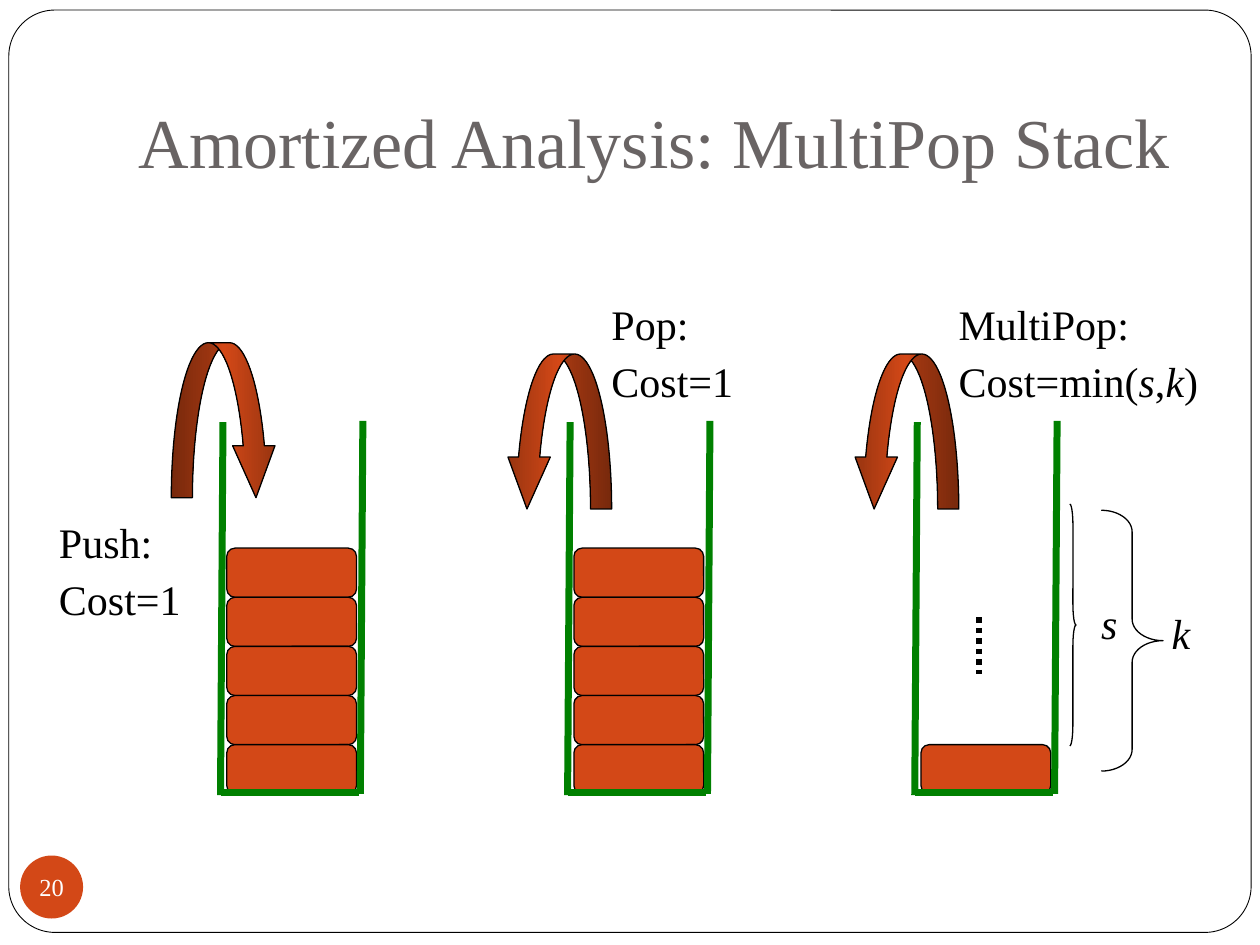
"""Build a slide that compares the costs of push, pop and multipop on a stack."""
import copy

import pptx
import pptx.dml.color
import pptx.enum.dml
import pptx.enum.shapes
import pptx.enum.text
import pptx.oxml.ns
import pptx.oxml.xmlchemy
import pptx.util

Inches, Pt = pptx.util.Inches, pptx.util.Pt
RGBColor = pptx.dml.color.RGBColor
Shape = pptx.enum.shapes.MSO_SHAPE
Anchor = pptx.enum.text.MSO_ANCHOR
Align = pptx.enum.text.PP_ALIGN

FONT = "Times New Roman"
BLACK = RGBColor(0, 0, 0)
WHITE = RGBColor(255, 255, 255)
GREY = RGBColor(0x69, 0x64, 0x64)
ORANGE = RGBColor(0xD3, 0x48, 0x17)
BROWN = RGBColor(0x97, 0x34, 0x10)
GREEN = RGBColor(0, 0x80, 0)

TITLE = "Amortized Analysis: MultiPop Stack"
PAGE_NUMBER = "20"
STACKS = [
    {"plates": 5, "arrow": (-0.39, 2.72), "flipped": False,
     "label": (-1.38, 4.05, 1.67, 0.94),
     "lines": [[("Push:", False)], [("Cost=1", False)]]},
    {"plates": 5, "arrow": (-0.49, 2.81), "flipped": True,
     "label": (0.25, 2.32, 1.67, 0.94),
     "lines": [[("Pop:", False)], [("Cost=1", False)]]},
    {"plates": 1, "arrow": (-0.49, 2.81), "flipped": True,
     "label": (0.25, 2.32, 2.22, 0.95),
     "lines": [[("MultiPop:", False)],
               [("Cost=min(", False), ("s", True), (",", False), ("k", True), (")", False)]]},
]
BRACES = [
    {"at": (8.49, 4, 0.05, 1.92), "curve": 3.29, "name": "s", "label": (8.64, 4.69, 0.44, 0.5)},
    {"at": (8.74, 4.05, 0.49, 2.07), "curve": 0.35, "name": "k", "label": (9.2, 4.77, 0.44, 0.5)},
]
STACK_LEFT, STACK_RIGHT, FLOOR = 1.75, 7.26, 6.3
STACK_PITCH = (STACK_RIGHT - STACK_LEFT) / (len(STACKS) - 1)
PLATE_WIDTH, PLATE_HEIGHT = 1.03, 0.39
WALLS = [((0, 6.29), (1.1, 6.29)), ((0, 6.31), (0.02, 3.35)), ((1.11, 6.3), (1.13, 3.34))]


def add_shape(page, kind, at, fill=None, line=0.75, adjustments=()):
    shape = page.shapes.add_shape(kind, *map(Inches, at))
    shape.shadow.inherit = False
    for index, value in enumerate(adjustments):
        shape.adjustments[index] = value
    if fill is None:
        shape.fill.background()
    else:
        shape.fill.solid()
        shape.fill.fore_color.rgb = fill
    if line:
        shape.line.color.rgb = BLACK
        shape.line.width = Pt(line)
    else:
        shape.line.fill.background()
    return shape


def add_line(page, start, end, color, width):
    line = page.shapes.add_connector(
        pptx.enum.shapes.MSO_CONNECTOR.STRAIGHT, *map(Inches, start + end))
    line.line.color.rgb = color
    line.line.width = Pt(width)
    line.element.spPr.append(pptx.oxml.xmlchemy.OxmlElement("a:effectLst"))
    return line


def add_span(para, text, size, color, italic=False):
    span = para.add_run()
    span.text = text
    span.font.name = FONT
    span.font.size = Pt(size)
    span.font.color.rgb = color
    span.font.italic = italic


def add_label(page, at, lines):
    frame = page.shapes.add_textbox(*map(Inches, at)).text_frame
    frame.word_wrap = True
    for index, line in enumerate(lines):
        para = frame.add_paragraph() if index else frame.paragraphs[0]
        if index:
            para.space_before = Pt(4)
        for text, italic in line:
            add_span(para, text, 24, BLACK, italic)


def add_arrow(page, left, top, flipped):
    arrow = add_shape(page, Shape.CURVED_DOWN_ARROW, (left, top, 0.84, 1.23),
                      adjustments=(0.2, 0.4, 0.49))
    arrow.fill.gradient()
    arrow.fill.gradient_angle = 0
    stops = next(arrow.element.iter(pptx.oxml.ns.qn("a:gsLst")))
    stops.insert(1, copy.deepcopy(stops[0]))
    for stop, position, color in zip(
            arrow.fill.gradient_stops, (0, 0.5, 1), (BROWN, ORANGE, BROWN)):
        stop.position = position
        stop.color.rgb = color
    if flipped:
        arrow.element.spPr.xfrm.set("flipH", "1")


def add_stack(page, left, stack):
    for level in range(stack["plates"], 0, -1):
        add_shape(page, Shape.ROUNDED_RECTANGLE,
                  (left + 0.05, FLOOR - level * PLATE_HEIGHT, PLATE_WIDTH, PLATE_HEIGHT), ORANGE)
    for (x1, y1), (x2, y2) in WALLS:
        add_line(page, (left + x1, y1), (left + x2, y2), GREEN, 4)
    x, y = stack["arrow"]
    add_arrow(page, left + x, y, stack["flipped"])
    x, y, width, height = stack["label"]
    add_label(page, (left + x, y, width, height), stack["lines"])


def add_title(page):
    title = page.shapes.title
    title.left, title.top, title.width, title.height = map(Inches, (1, 0.3, 8.5, 1.25))
    frame = title.text_frame
    frame.word_wrap = True
    frame.vertical_anchor = Anchor.BOTTOM
    frame.margin_bottom = Inches(0.1)
    frame.paragraphs[0].alignment = Align.LEFT
    add_span(frame.paragraphs[0], TITLE, 40, GREY)
    border = add_shape(page, Shape.ROUNDED_RECTANGLE, (0.07, 0.08, 9.86, 7.32), WHITE, 0.5, (0.05,))
    title.element.addprevious(border.element)


def add_page_number(page):
    badge = add_shape(page, Shape.OVAL, (0.16, 6.79, 0.5, 0.5), ORANGE, 0)
    frame = badge.text_frame
    frame.margin_left = frame.margin_right = frame.margin_top = frame.margin_bottom = 0
    frame.word_wrap = False
    frame.vertical_anchor = Anchor.MIDDLE
    frame.paragraphs[0].alignment = Align.CENTER
    add_span(frame.paragraphs[0], PAGE_NUMBER, 14, WHITE)


def main():
    deck = pptx.Presentation()
    deck.slide_width, deck.slide_height = Inches(10), Inches(7.5)
    page = deck.slides.add_slide(deck.slide_layouts[5])
    add_title(page)
    for index, stack in enumerate(STACKS):
        add_stack(page, STACK_LEFT + index * STACK_PITCH, stack)
    dots = add_line(page, (7.77, 4.9), (7.77, 5.35), BLACK, 3)
    dots.line.dash_style = pptx.enum.dml.MSO_LINE.ROUND_DOT
    for brace in BRACES:
        add_shape(page, Shape.RIGHT_BRACE, brace["at"], adjustments=(brace["curve"], 0.5))
        add_label(page, brace["label"], [[(brace["name"], True)]])
    add_page_number(page)
    deck.save("out.pptx")


if __name__ == "__main__":
    main()
